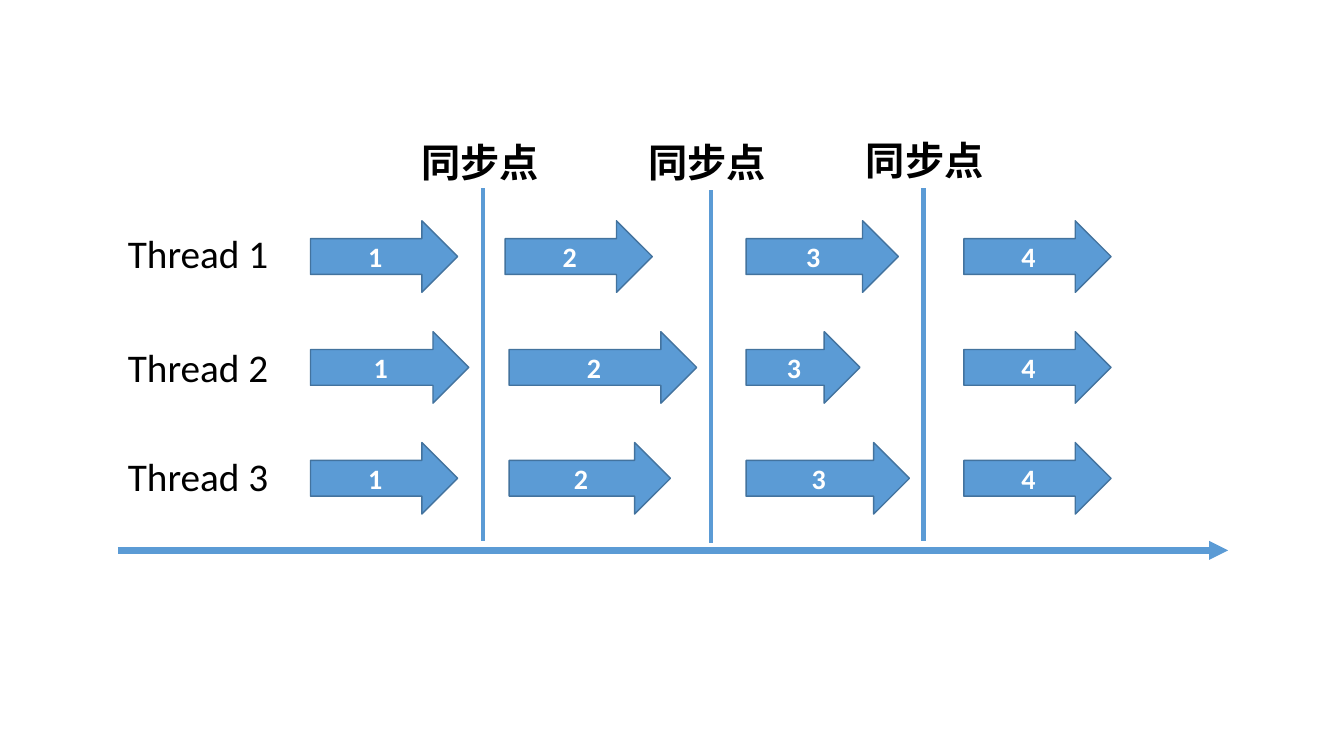
import pptx
import pptx.util
import pptx.dml.color
import pptx.enum.shapes
import pptx.enum.text
import pptx.oxml
import pptx.oxml.ns
from pptx.util import Inches

BLUE = "5B9BD5"
DARK_BLUE = "43739E"
FIRST_ROW_TOP = 2.19
ROW_STEP = 1.1
ARROW_HEIGHT = 0.71
THREADS = [
    ("Thread 1", 2.23, [(3.08, 1.46), (5.01, 1.46), (7.4, 1.51), (9.56, 1.46)]),
    ("Thread 2", 3.36, [(3.08, 1.57), (5.05, 1.86), (7.4, 1.13), (9.56, 1.46)]),
    ("Thread 3", 4.44, [(3.08, 1.46), (5.05, 1.6), (7.4, 1.62), (9.56, 1.46)]),
]
SYNC_POINTS = [(4.79, 1.87, 4.08, 1.32), (7.05, 1.89, 6.33, 1.32), (9.16, 1.87, 8.49, 1.3)]


def rgb(hex_color):
    return pptx.dml.color.RGBColor.from_string(hex_color)


def write(frame, text, *, size=28, color="000000", bold=False, align=None):
    frame.word_wrap = True
    paragraph = frame.paragraphs[0]
    paragraph.alignment = align
    run = paragraph.add_run()
    run.text = text
    run.font.name = "Calibri"
    run.font.size = pptx.util.Pt(size)
    run.font.bold = bold
    run.font.color.rgb = rgb(color)


def add_label(slide, text, left, top, width, **text_format):
    label = slide.shapes.add_textbox(Inches(left), Inches(top), Inches(width), Inches(0.57))
    label.text_frame.auto_size = pptx.enum.text.MSO_AUTO_SIZE.SHAPE_TO_FIT_TEXT
    write(label.text_frame, text, **text_format)


def add_line(slide, x1, y1, x2, y2, width, arrowhead=False):
    line = slide.shapes.add_connector(
        pptx.enum.shapes.MSO_CONNECTOR.STRAIGHT, Inches(x1), Inches(y1), Inches(x2), Inches(y2))
    line.line.color.rgb = rgb(BLUE)
    line.line.width = pptx.util.Pt(width)
    if arrowhead:
        tail = pptx.oxml.ns.qn("a:tailEnd")
        line.line._get_or_add_ln().append(line._element.makeelement(tail, {"type": "triangle"}))
    properties = line._element.spPr
    properties.append(properties.makeelement(pptx.oxml.ns.qn("a:effectLst"), {}))


def add_step(slide, number, left, top, width):
    step = slide.shapes.add_shape(
        pptx.enum.shapes.MSO_SHAPE.RIGHT_ARROW,
        Inches(left), Inches(top), Inches(width), Inches(ARROW_HEIGHT))
    step.shadow.inherit = False
    step.fill.solid()
    step.fill.fore_color.rgb = rgb(BLUE)
    step.line.color.rgb = rgb(DARK_BLUE)
    step.line.width = pptx.util.Pt(1)
    step.text_frame.vertical_anchor = pptx.enum.text.MSO_ANCHOR.MIDDLE
    write(step.text_frame, str(number), size=20, color="FFFFFF", bold=True,
          align=pptx.enum.text.PP_ALIGN.CENTER)


def main():
    presentation = pptx.Presentation()
    presentation.slide_width = Inches(13.33)
    presentation.slide_height = Inches(7.5)
    slide = presentation.slides.add_slide(presentation.slide_layouts[6])

    add_line(slide, 1.17, 5.46, 12.18, 5.46, 4.5, arrowhead=True)
    for row, (thread, label_top, steps) in enumerate(THREADS):
        add_label(slide, thread, 1.17, label_top, 1.91)
        for number, (left, width) in enumerate(steps, start=1):
            add_step(slide, number, left, FIRST_ROW_TOP + row * ROW_STEP, width)
    for sync_x, sync_top, label_left, label_top in SYNC_POINTS:
        add_line(slide, sync_x, sync_top, sync_x, sync_top + 3.5, 3)
        add_label(slide, "同步点", label_left, label_top, 1.43, bold=True)

    presentation.save("out.pptx")


if __name__ == "__main__":
    main()
